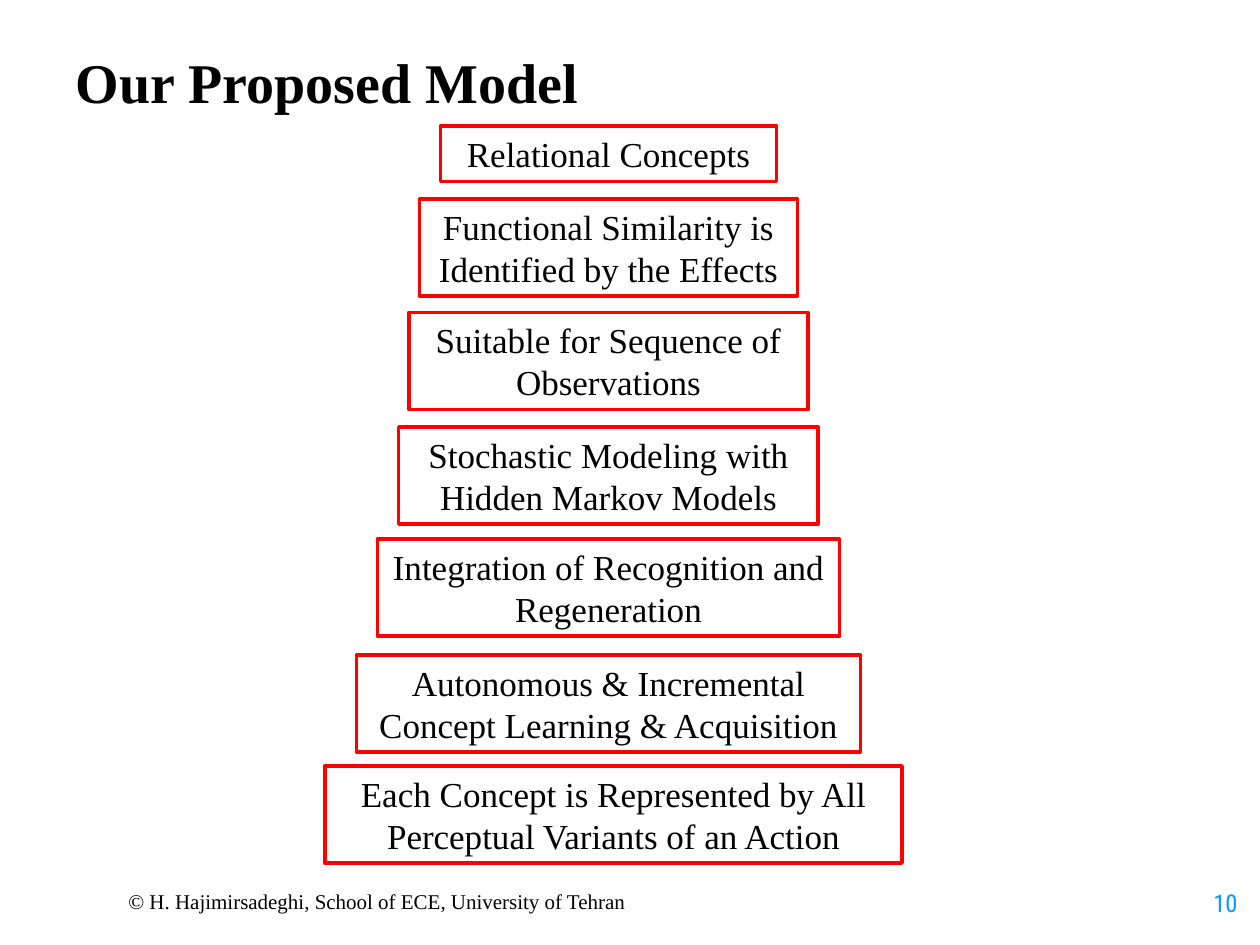
from pptx import Presentation
from pptx.dml.color import RGBColor as Rgb
from pptx.enum.shapes import MSO_SHAPE as Shape
from pptx.enum.text import MSO_ANCHOR as Anchor, PP_ALIGN as Align
from pptx.util import Inches, Pt

COLORS = {"text": "000000", "frame": "FF0000", "number": "0099FF"}
SERIF = "Times New Roman"
MIDDLE = 4.83  # shared centre line of the boxes

# top, width, height, centre, lines
BOXES = [
    (1, 2.67, 0.44, MIDDLE, ["Relational Concepts"]),
    (1.58, 3, 0.77, MIDDLE,
     ["Functional Similarity is Identified by the Effects"]),
    (2.48, 3.17, 0.77, MIDDLE, ["Suitable for Sequence of Observations"]),
    (3.39, 3.33, 0.77, MIDDLE,
     ["Stochastic Modeling with", "Hidden Markov Models"]),
    (4.28, 3.67, 0.77, MIDDLE,
     ["Integration of Recognition and Regeneration"]),
    (5.2, 4, 0.77, MIDDLE,
     ["Autonomous & Incremental Concept Learning & Acquisition"]),
    (6.08, 4.58, 0.77, 4.87,
     ["Each Concept is Represented by All Perceptual Variants of an Action"]),
]


class Deck:
    def __init__(self, prs):
        self.slide = prs.slides.add_slide(prs.slide_layouts[5])

    def fill_text(self, frame, lines, size, align=Align.LEFT, color="text",
                  face=SERIF, bold=False):
        frame.word_wrap = True
        for i, line in enumerate(lines):
            para = frame.add_paragraph() if i else frame.paragraphs[0]
            para.text = line
            para.alignment = align
            font = para.font
            font.name, font.size, font.bold = face, Pt(size), bold
            font.color.rgb = Rgb.from_string(COLORS[color])

    def title(self, text, x, y, w, h):
        head = self.slide.shapes.title
        head.left, head.top = Inches(x), Inches(y)
        head.width, head.height = Inches(w), Inches(h)
        head.text_frame.vertical_anchor = Anchor.MIDDLE
        self.fill_text(head.text_frame, [text], 32, bold=True)

    def label(self, text, x, y, w, h, size, **style):
        box = self.slide.shapes.add_textbox(
            Inches(x), Inches(y), Inches(w), Inches(h))
        self.fill_text(box.text_frame, [text], size, **style)

    def box(self, top, width, height, center, lines):
        rect = self.slide.shapes.add_shape(
            Shape.RECTANGLE, Inches(center - width / 2), Inches(top),
            Inches(width), Inches(height))
        rect.shadow.inherit = False
        rect.fill.background()
        rect.line.color.rgb = Rgb.from_string(COLORS["frame"])
        rect.line.width = Pt(2)
        rect.text_frame.vertical_anchor = Anchor.TOP
        self.fill_text(rect.text_frame, lines, 20, Align.CENTER)


def main():
    prs = Presentation()
    prs.slide_width, prs.slide_height = Inches(10), Inches(7.5)
    deck = Deck(prs)

    # Title
    deck.title("Our Proposed Model", 0.5, 0.35, 8.25, 0.58)

    # Stack of model features
    for row in BOXES:
        deck.box(*row)

    # Footer and page number
    deck.label("© H. Hajimirsadeghi, School of ECE, University of Tehran",
               0.92, 7, 8.58, 0.3, 12)
    deck.label("10", 9.5, 7, 0.42, 0.33, 14, align=Align.RIGHT,
               color="number", face="Roboto Condensed")

    prs.save("out.pptx")


if __name__ == "__main__":
    main()
